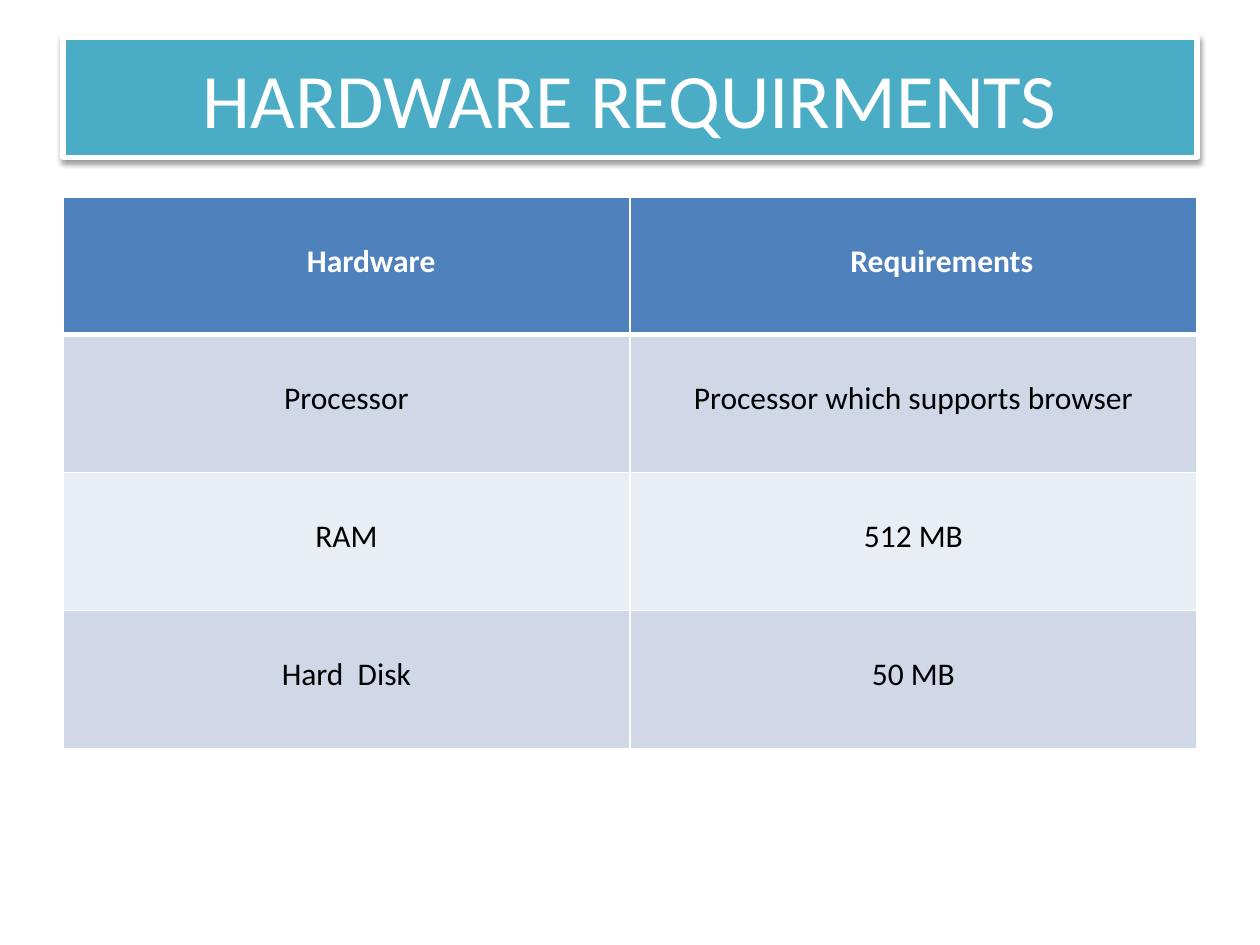
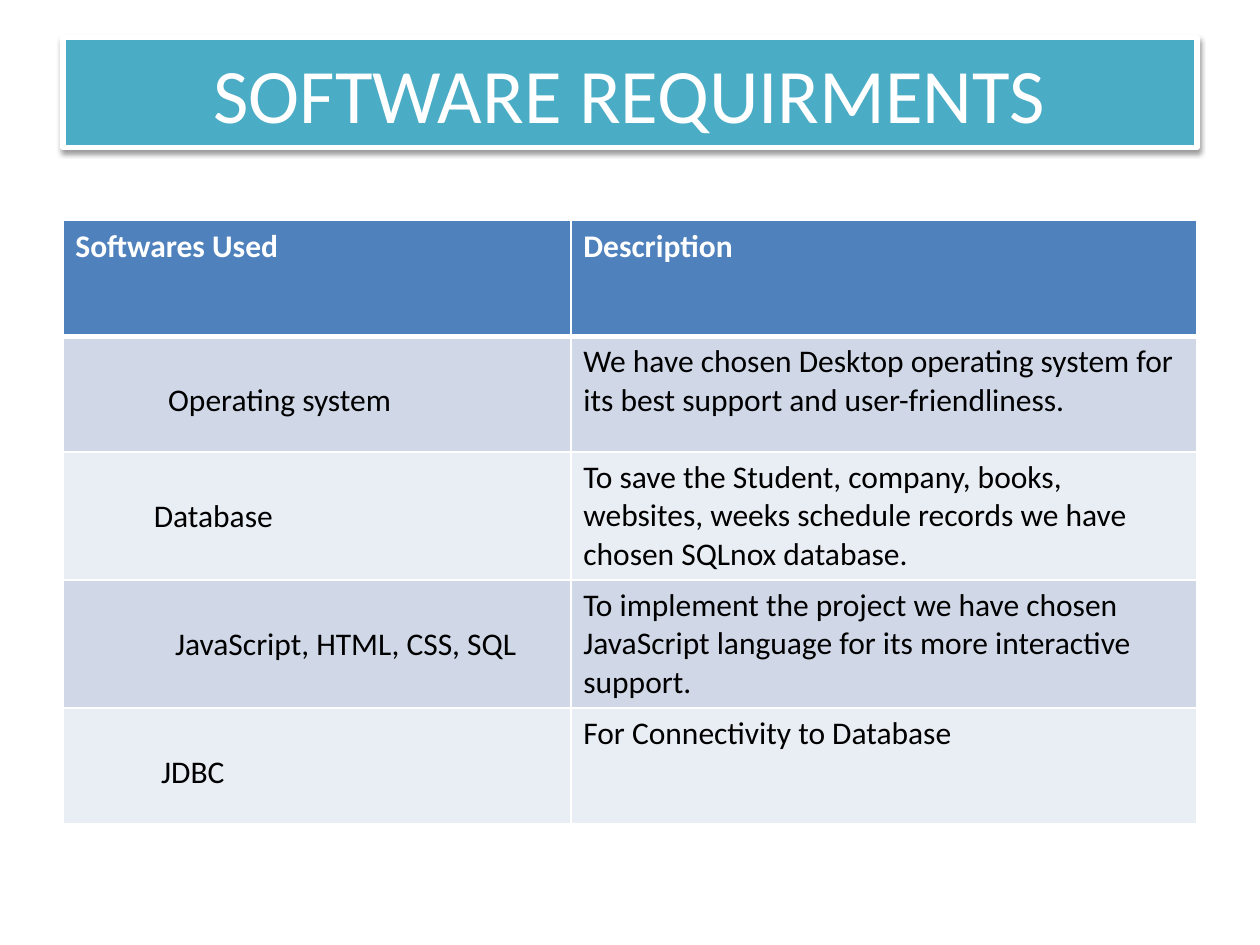
"""Build two slides that list hardware and software requirements in tables."""
from lxml.etree import SubElement
from pptx import Presentation
from pptx.dml.color import RGBColor
from pptx.enum.text import MSO_ANCHOR, PP_ALIGN
from pptx.oxml.ns import qn
from pptx.util import Cm, Pt

WHITE = RGBColor(0xFF, 0xFF, 0xFF)
BLACK = RGBColor(0, 0, 0)
TEAL = RGBColor(0x4B, 0xAC, 0xC6)
HEADER_BLUE = RGBColor(0x4F, 0x81, 0xBD)
BANDS = (RGBColor(0xD0, 0xD8, 0xE8), RGBColor(0xE9, 0xED, 0xF4))

FONT = "Calibri"
LEFT, TITLE_TOP, WIDTH = 1.27, 0.76, 22.86
SIDE_MARGIN, TOP_MARGIN, LINE_HEIGHT = 0.25, 0.13, 0.78

SLIDES = [
    {
        "title": "HARDWARE REQUIRMENTS",
        "title_height": 2.41,
        "table_top": 3.97,
        "row_height": 2.78,
        "columns": (11.43, 11.43),
        "align": PP_ALIGN.CENTER,
        "lowered": {(row, column) for row in range(4) for column in range(2)},
        "indents": {(0, 0): 1.0, (0, 1): 1.15},
        "rows": [
            ("Hardware", "Requirements"),
            ("Processor", "Processor which supports browser"),
            ("RAM", "512 MB"),
            ("Hard  Disk", "50 MB"),
        ],
    },
    {
        "title": "SOFTWARE REQUIRMENTS",
        "title_height": 2.21,
        "table_top": 4.45,
        "row_height": 2.33,
        "columns": (10.24, 12.62),
        "align": PP_ALIGN.LEFT,
        "lowered": {(row, 0) for row in range(1, 5)},
        "indents": {(1, 0): 1.87, (2, 0): 1.58, (3, 0): 2.01, (4, 0): 1.73},
        "rows": [
            ("Softwares Used", "Description"),
            ("Operating system",
             "We have chosen Desktop operating system for its best support "
             "and user-friendliness."),
            ("Database",
             "To save the Student, company, books, websites, weeks schedule "
             "records we have chosen SQLnox database."),
            ("JavaScript, HTML, CSS, SQL",
             "To implement the project we have chosen JavaScript language for "
             "its more interactive support."),
            ("JDBC", "For Connectivity to Database"),
        ],
    },
]


def style_text(paragraph, size, color, align, bold=False):
    paragraph.alignment = align
    font = paragraph.font
    font.name, font.size, font.bold = FONT, Pt(size), bold
    font.color.rgb = color


def add_shadow(shape):
    shape.shadow.inherit = False
    effects = shape._element.spPr.find(qn("a:effectLst"))
    shadow = SubElement(effects, qn("a:outerShdw"), blurRad="40000", dist="20000",
                        dir="5400000", rotWithShape="0")
    color = SubElement(shadow, qn("a:srgbClr"), val=str(BLACK))
    SubElement(color, qn("a:alpha"), val="38000")


def add_title(slide, text, height):
    title = slide.shapes.title
    title.left, title.top = Cm(LEFT), Cm(TITLE_TOP)
    title.width, title.height = Cm(WIDTH), Cm(height)
    title.fill.solid()
    title.fill.fore_color.rgb = TEAL
    title.line.color.rgb = WHITE
    title.line.width = Pt(3)
    add_shadow(title)
    title.text_frame.text = text
    title.text_frame.vertical_anchor = MSO_ANCHOR.MIDDLE
    style_text(title.text_frame.paragraphs[0], 44, WHITE, PP_ALIGN.CENTER)


def set_borders(cell, top, bottom):
    properties = cell._tc.get_or_add_tcPr()
    for side, width in (("L", 1), ("R", 1), ("T", top), ("B", bottom)):
        line = SubElement(properties, qn(f"a:ln{side}"), w=str(Pt(width)))
        fill = SubElement(line, qn("a:solidFill"))
        SubElement(fill, qn("a:srgbClr"), val=str(WHITE))


def add_table(slide, content):
    rows, columns = content["rows"], content["columns"]
    height = content["row_height"]
    table = slide.shapes.add_table(
        len(rows), len(columns), Cm(LEFT), Cm(content["table_top"]),
        Cm(WIDTH), Cm(height * len(rows))).table
    for column, width in zip(table.columns, columns):
        column.width = Cm(width)
    for row_index, texts in enumerate(rows):
        table.rows[row_index].height = Cm(height)
        header = row_index == 0
        for column_index, text in enumerate(texts):
            place = row_index, column_index
            cell = table.cell(*place)
            set_borders(cell, top=3 if row_index == 1 else 1, bottom=3 if header else 1)
            cell.fill.solid()
            cell.fill.fore_color.rgb = HEADER_BLUE if header else BANDS[(row_index - 1) % 2]
            cell.margin_left = Cm(SIDE_MARGIN + content["indents"].get(place, 0))
            cell.margin_top = Cm(TOP_MARGIN + LINE_HEIGHT * (place in content["lowered"]))
            cell.text = text
            style_text(cell.text_frame.paragraphs[0], 18, WHITE if header else BLACK,
                       content["align"], header)


presentation = Presentation()
presentation.slide_width, presentation.slide_height = Cm(25.4), Cm(19.05)
title_only = presentation.slide_layouts[5]
for content in SLIDES:
    slide = presentation.slides.add_slide(title_only)
    add_title(slide, content["title"], content["title_height"])
    add_table(slide, content)
presentation.save("out.pptx")
